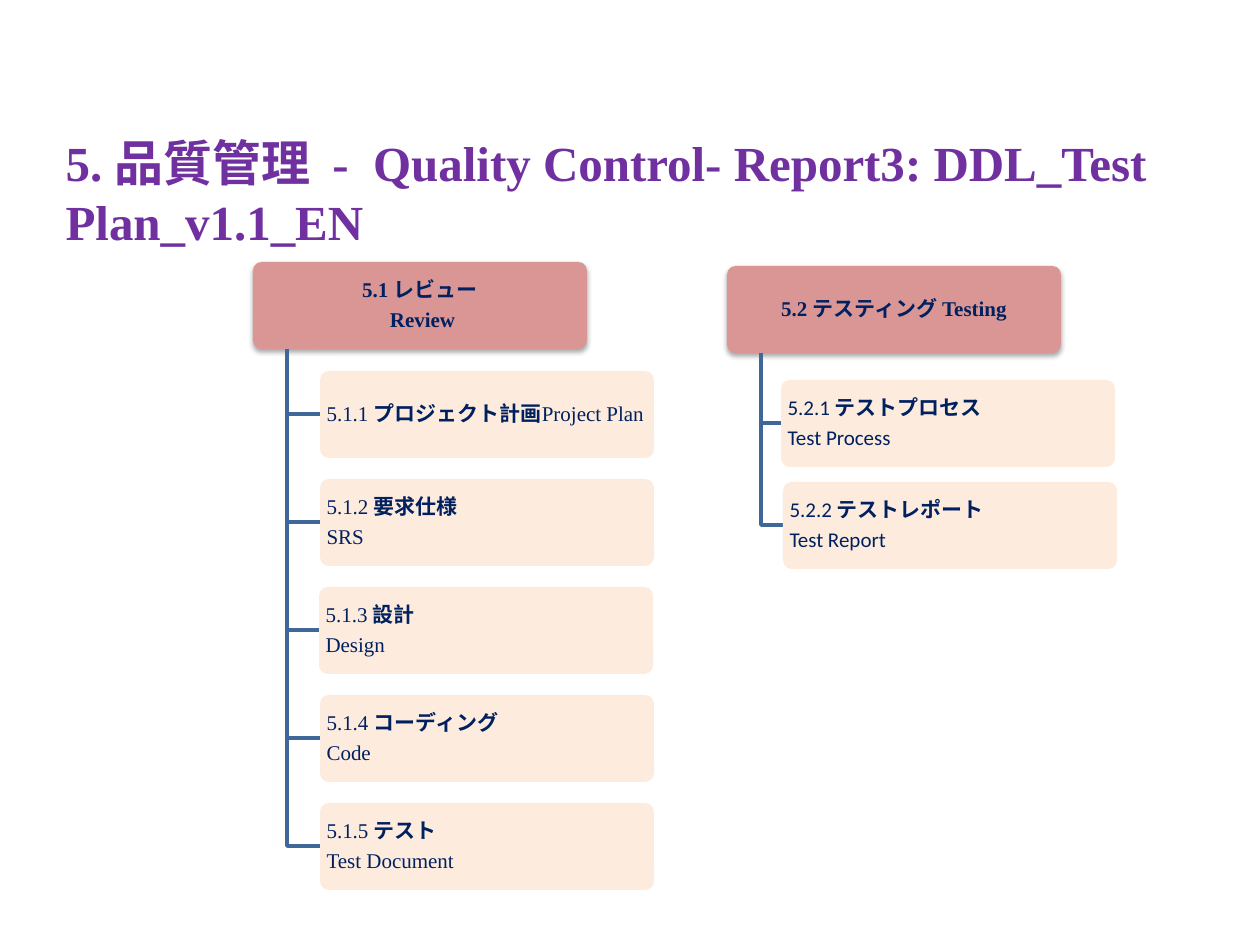
from lxml.etree import SubElement
from pptx import Presentation
from pptx.dml.color import RGBColor
from pptx.enum.shapes import MSO_SHAPE
from pptx.enum.text import MSO_ANCHOR, PP_ALIGN
from pptx.oxml.ns import qn
from pptx.util import Pt

PX = 914400 // 126
COLORS = {"title": "7030A0", "text": "002060", "parent": "D99694",
          "child": "FDEADA", "line": "3F6797"}
SERIF, SANS, CJK = "Times New Roman", "Calibri", "Noto Sans CJK SC"
BOX_W, BOX_H, TRUNK = 334, 87, 34


def rgb(name):
    return RGBColor.from_string(COLORS[name])


def add_text(p, runs, size, color):
    """Add (text, font, bold) runs to a paragraph."""
    for text, font, bold in runs:
        r = p.add_run()
        r.text = text
        for key, value in {"name": font, "size": Pt(size), "bold": bold}.items():
            setattr(r.font, key, value)
        r.font.color.rgb = rgb(color)
        SubElement(r.font._element, qn("a:ea"), typeface=CJK)


def add_box(left, top, kind, paragraphs, align):
    """Add a rounded box with its lines of text."""
    sp = s.shapes.add_shape(MSO_SHAPE.ROUNDED_RECTANGLE, left * PX, top * PX,
                            BOX_W * PX, BOX_H * PX)
    sp.adjustments[0] = 0.1
    sp.shadow.inherit = False
    sp.fill.solid()
    sp.fill.fore_color.rgb = rgb(kind)
    sp.line.fill.background()
    tf = sp.text_frame
    frame = {"word_wrap": True, "vertical_anchor": MSO_ANCHOR.MIDDLE,
             "margin_left": 4 * PX, "margin_right": 4 * PX,
             "margin_top": 3 * PX, "margin_bottom": 3 * PX}
    for key, value in frame.items():
        setattr(tf, key, value)
    for i, runs in enumerate(paragraphs):
        p = tf.add_paragraph() if i else tf.paragraphs[0]
        for key, value in {"alignment": align, "line_spacing": 0.9,
                           "space_after": Pt(4.2)}.items():
            setattr(p, key, value)
        add_text(p, runs, 12, "text")
    return sp


prs = Presentation()
prs.slide_width, prs.slide_height = 1260 * PX, 945 * PX
s = prs.slides.add_slide(prs.slide_layouts[5])

# Title
title = s.shapes.title
for key, value in {"left": 53, "top": 126, "width": 1124, "height": 777}.items():
    setattr(title, key, value * PX)
tf = title.text_frame
tf.word_wrap, tf.vertical_anchor = True, MSO_ANCHOR.TOP
p = tf.paragraphs[0]
p.alignment, p.space_before = PP_ALIGN.LEFT, Pt(5.6)
add_text(p, [("5. ", SERIF, True), ("品質管理  ", CJK, True),
             ("-  Quality Control- Report3: DDL_Test Plan_v1.1_EN", SERIF, True)],
         28, "title")

# Branches: parent box, then children as (left, number, Japanese, English)
branches = [
    {"left": 253, "top": 262, "first": 371, "pitch": 108, "font": SERIF,
     "head": [[("5.1 ", SERIF, True), ("レビュー", CJK, True)],
              [(" Review", SERIF, True)]],
     "children": [(320, "5.1.1 ", "プロジェクト計画", "Project Plan"),
                  (320, "5.1.2 ", "要求仕様", "SRS"),
                  (319, "5.1.3 ", "設計", "Design"),
                  (320, "5.1.4 ", "コーディング", "Code"),
                  (320, "5.1.5 ", "テスト", "Test Document")]},
    {"left": 727, "top": 266, "first": 380, "pitch": 102, "font": SANS,
     "head": [[("5.2 ", SERIF, True), ("テスティング", CJK, True),
               (" Testing", SERIF, True)]],
     "children": [(781, "5.2.1 ", "テストプロセス", "Test Process"),
                  (783, "5.2.2 ", "テストレポート", "Test Report")]},
]

for b in branches:
    # Parent with a soft shadow below
    sp = add_box(b["left"], b["top"], "parent", b["head"], PP_ALIGN.CENTER)
    effects = sp._element.spPr.find(qn("a:effectLst"))
    shadow = SubElement(effects, qn("a:outerShdw"), blurRad=str(Pt(3.1)),
                        dist=str(Pt(1.8)), dir="5400000", rotWithShape="0")
    black = SubElement(shadow, qn("a:srgbClr"), val="000000")
    SubElement(black, qn("a:alpha"), val="35000")

    trunk_x, trunk_y = b["left"] + TRUNK, b["top"] + BOX_H
    for i, (left, number, japanese, english) in enumerate(b["children"]):
        top = b["first"] + i * b["pitch"]

        # Elbow from the parent to the middle of the child
        middle = top + BOX_H // 2
        elbow = s.shapes.build_freeform(trunk_x, trunk_y, scale=PX)
        elbow.add_line_segments([(trunk_x, middle), (left, middle)], close=False)
        sp = elbow.convert_to_shape()
        sp.shadow.inherit = False
        sp.fill.background()
        sp.line.color.rgb = rgb("line")
        sp.line.width = Pt(2)

        # Child: the first one keeps both languages in one paragraph
        lines = [[(number, b["font"], False), (japanese, CJK, True)]]
        name = (english, b["font"], False)
        if english == "Project Plan":
            lines[0].append(name)
        else:
            lines.append([name])
        sp = add_box(left, top, "child", lines, PP_ALIGN.LEFT)
        color = sp._element.spPr.find(qn("a:solidFill")).find(qn("a:srgbClr"))
        SubElement(color, qn("a:alpha"), val="90000")

prs.save("out.pptx")
